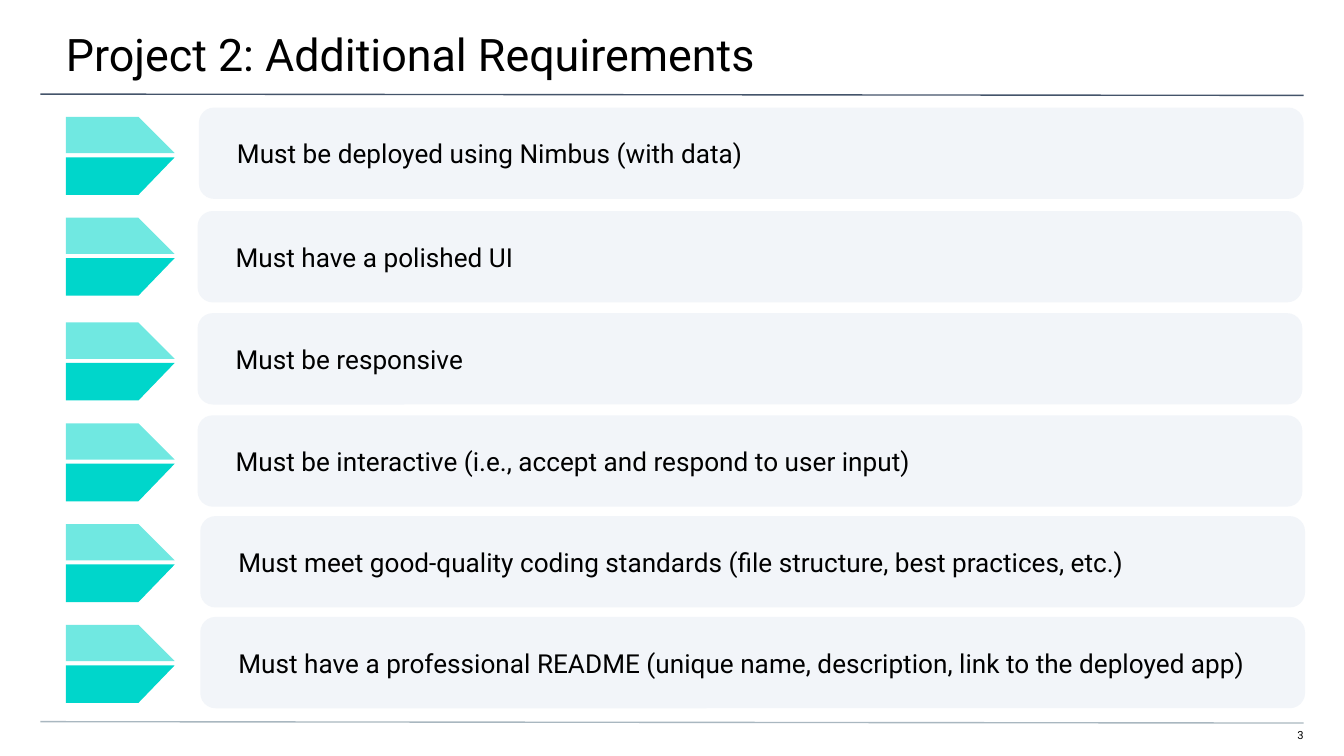
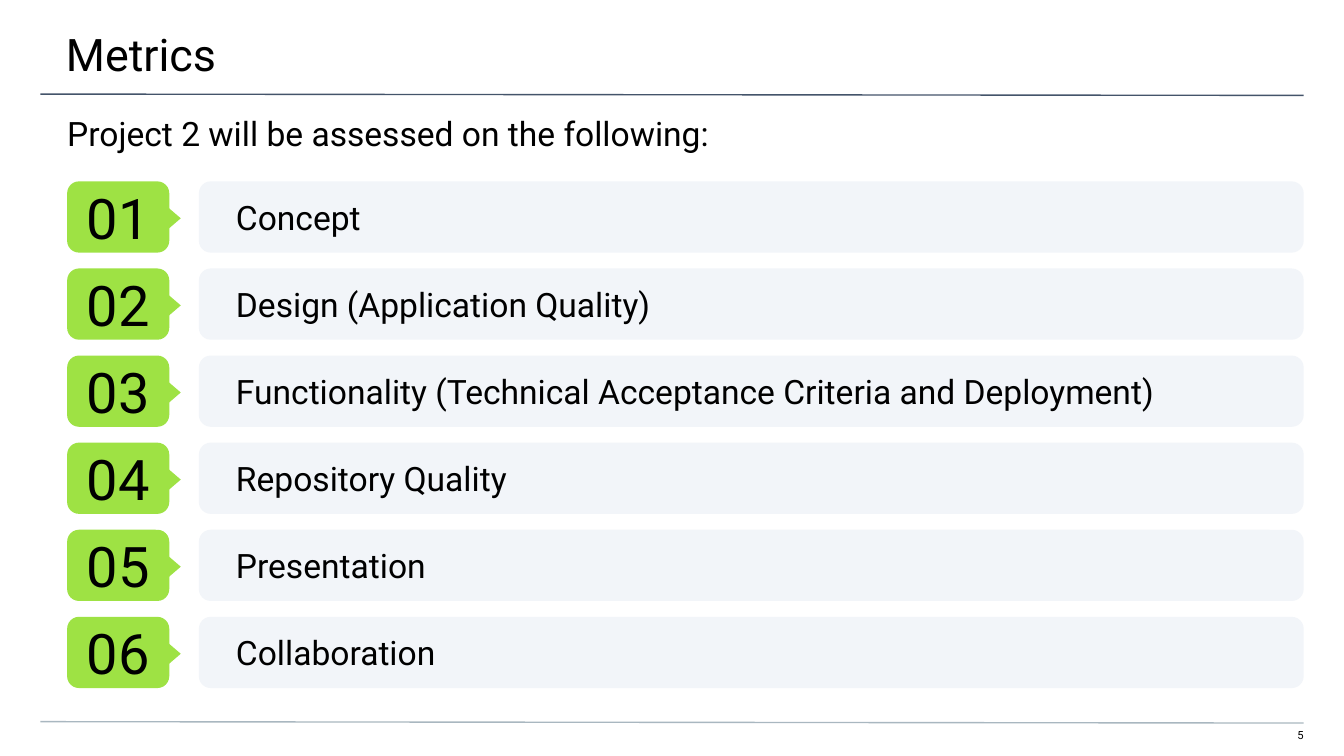
"""Build the Project 2 requirements and metrics slides."""
from dataclasses import dataclass

from lxml.etree import SubElement
from pptx import Presentation
from pptx.dml.color import RGBColor
from pptx.enum.shapes import MSO_CONNECTOR as Connector, MSO_SHAPE as Shape
from pptx.enum.text import MSO_ANCHOR as Anchor, MSO_AUTO_SIZE as AutoSize, PP_ALIGN as Align
from pptx.oxml.ns import qn
from pptx.util import Inches, Pt

FONT = "Roboto"
BLACK, WHITE = "000000", "FFFFFF"
PANEL, TEAL, LIME = "F2F5F9", "00D6CB", "9EE244"
HEADER_RULE, FOOTER_RULE = "44546A", "A9B7C0"
PANEL_WIDTH = 8.22


@dataclass(frozen=True)
class Box:
    left: float
    top: float
    width: float
    height: float

    def lengths(self) -> tuple:
        return tuple(map(Inches, (self.left, self.top, self.width, self.height)))


@dataclass(frozen=True)
class Requirement:
    wording: str
    panel_left: float
    panel_top: float
    arrow_top: float


@dataclass(frozen=True)
class Rule:
    top: float
    color: str


RULES = (Rule(0.7, HEADER_RULE), Rule(5.37, FOOTER_RULE))
TITLE_BOX = Box(-0.01, 0, 10.03, 0.58)
NUMBER_BOX = Box(9.41, 5.42, 0.29, 0.12)
INTRO_BOX = Box(0, 0.74, 10, 0.4)

REQUIREMENTS = (
    Requirement("Must be deployed using Nimbus (with data)", 1.48, 0.8, 0.87),
    Requirement("Must have a polished UI", 1.47, 1.57, 1.62),
    Requirement("Must be responsive", 1.47, 2.33, 2.4),
    Requirement("Must be interactive (i.e., accept and respond to user input)", 1.47, 3.09, 3.15),
    Requirement("Must meet good-quality coding standards (file structure, best practices, etc.)",
                1.49, 3.84, 3.9),
    Requirement("Must have a professional README (unique name, description, link to the deployed app)",
                1.49, 4.59, 4.65),
)
METRICS = (
    "Concept",
    "Design (Application Quality)",
    "Functionality (Technical Acceptance Criteria and Deployment)",
    "Repository Quality",
    "Presentation",
    "Collaboration",
)
FIRST_METRIC_TOP, LAST_METRIC_TOP = 1.35, 4.59


def rgb(color: str) -> RGBColor:
    return RGBColor.from_string(color)


def paint(shape, color: str) -> None:
    shape.shadow.inherit = False
    shape.fill.solid()
    shape.fill.fore_color.rgb = rgb(color)
    shape.line.fill.background()


def write(shape, wording: str, size: float, insets: tuple, align=Align.LEFT, anchor=Anchor.TOP) -> None:
    frame = shape.text_frame
    frame.word_wrap = True
    frame.auto_size = AutoSize.NONE
    frame.vertical_anchor = anchor
    frame.margin_left, frame.margin_top, frame.margin_right, frame.margin_bottom = map(Inches, insets)
    paragraph = frame.paragraphs[0]
    paragraph.text = wording
    paragraph.alignment = align
    paragraph.space_before = Pt(0)
    paragraph.font.name = FONT
    paragraph.font.size = Pt(size)
    paragraph.font.color.rgb = rgb(BLACK)


def place(shape, box: Box) -> None:
    shape.left, shape.top, shape.width, shape.height = box.lengths()


def add_rule(slide, rule: Rule) -> None:
    line = slide.shapes.add_connector(
        Connector.STRAIGHT, Inches(0.3), Inches(rule.top), Inches(9.7), Inches(rule.top + 0.01))
    line.line.color.rgb = rgb(rule.color)
    line.line.width = Pt(0.75)
    SubElement(line._element.spPr, qn("a:effectLst"))


def add_base(deck, layout: int, title: str, number: int):
    slide = deck.slides.add_slide(deck.slide_layouts[layout])
    slide.background.fill.solid()
    slide.background.fill.fore_color.rgb = rgb(WHITE)
    place(slide.shapes.title, TITLE_BOX)
    write(slide.shapes.title, title, 24, (0.5, 0.2, 0.3, 0.1))
    for rule in RULES:
        add_rule(slide, rule)
    page = slide.shapes.add_textbox(*NUMBER_BOX.lengths())
    write(page, str(number), 6, (0, 0, 0, 0.1), Align.RIGHT)
    return slide


def add_round(shapes, box: Box, color: str):
    rounded = shapes.add_shape(Shape.ROUNDED_RECTANGLE, *box.lengths())
    rounded.adjustments[0] = 0.167
    paint(rounded, color)
    return rounded


def add_panel(slide, box: Box, wording: str, size: float) -> None:
    panel = add_round(slide.shapes, box, PANEL)
    write(panel, wording, size, (0.25, 0.1, 0.1, 0.1), anchor=Anchor.MIDDLE)


def add_half_arrow(slide, outer: float, inner: float):
    left, shoulder, tip = Inches(0.49), Inches(1.03), Inches(1.3)
    outer, inner = Inches(outer), Inches(inner)
    builder = slide.shapes.build_freeform(left, outer)
    builder.add_line_segments([(left, inner), (tip, inner), (shoulder, outer)], close=True)
    half = builder.convert_to_shape()
    paint(half, TEAL)
    return half


def add_arrow(slide, top: float) -> None:
    upper = add_half_arrow(slide, top, top + 0.27)
    tint = upper._element.spPr.find(qn("a:solidFill"))[0]
    SubElement(tint, qn("a:alpha"), val="56000")
    add_half_arrow(slide, top + 0.58, top + 0.3)


def add_badge(slide, top: float, label: str) -> None:
    group = slide.shapes.add_group_shape()
    badge = add_round(group.shapes, Box(0.5, top, 0.76, 0.53), LIME)
    write(badge, label, 30, (0.1,) * 4, Align.CENTER, Anchor.MIDDLE)
    pointer = group.shapes.add_shape(
        Shape.FLOWCHART_EXTRACT, *Box(1.06, top + 0.17, 0.36, 0.21).lengths())
    pointer.rotation = 90
    paint(pointer, LIME)


def build_requirements(deck) -> None:
    slide = add_base(deck, 5, "Project 2: Additional Requirements", 3)
    for item in REQUIREMENTS:
        add_panel(slide, Box(item.panel_left, item.panel_top, PANEL_WIDTH, 0.68), item.wording, 14)
        add_arrow(slide, item.arrow_top)


def build_metrics(deck) -> None:
    slide = add_base(deck, 1, "Metrics", 5)
    intro = slide.placeholders[1]
    place(intro, INTRO_BOX)
    properties = intro.text_frame.paragraphs[0]._p.get_or_add_pPr()
    properties.set("marL", "0")
    properties.set("indent", "0")
    SubElement(properties, qn("a:buNone"))
    write(intro, "Project 2 will be assessed on the following:", 18, (0.5, 0.1, 0.5, 0))
    step = (LAST_METRIC_TOP - FIRST_METRIC_TOP) / (len(METRICS) - 1)
    for index, metric in enumerate(METRICS):
        top = FIRST_METRIC_TOP + index * step
        add_panel(slide, Box(1.48, top, PANEL_WIDTH, 0.53), metric, 18)
        add_badge(slide, top, f"{index + 1:02}")


def main() -> None:
    deck = Presentation()
    deck.slide_width = Inches(10)
    deck.slide_height = deck.slide_width * 9 // 16
    build_requirements(deck)
    build_metrics(deck)
    deck.save("out.pptx")


if __name__ == "__main__":
    main()
